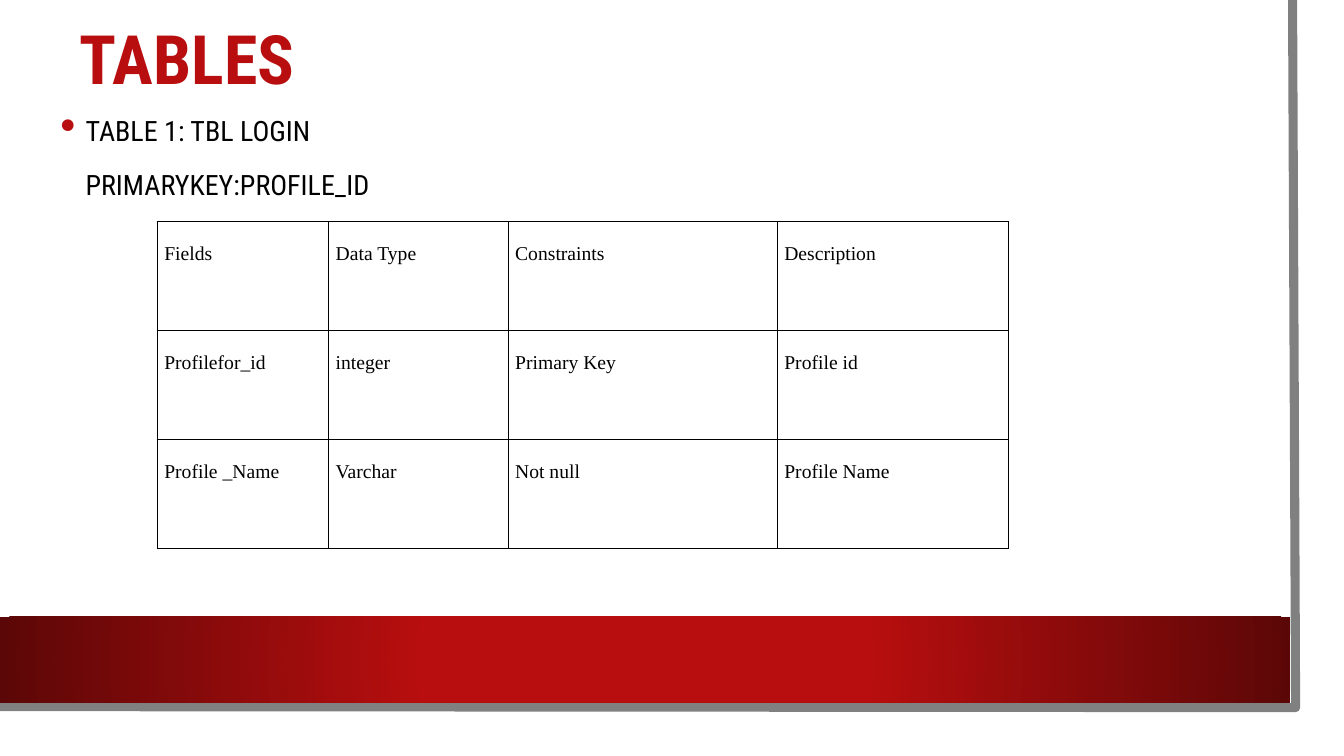
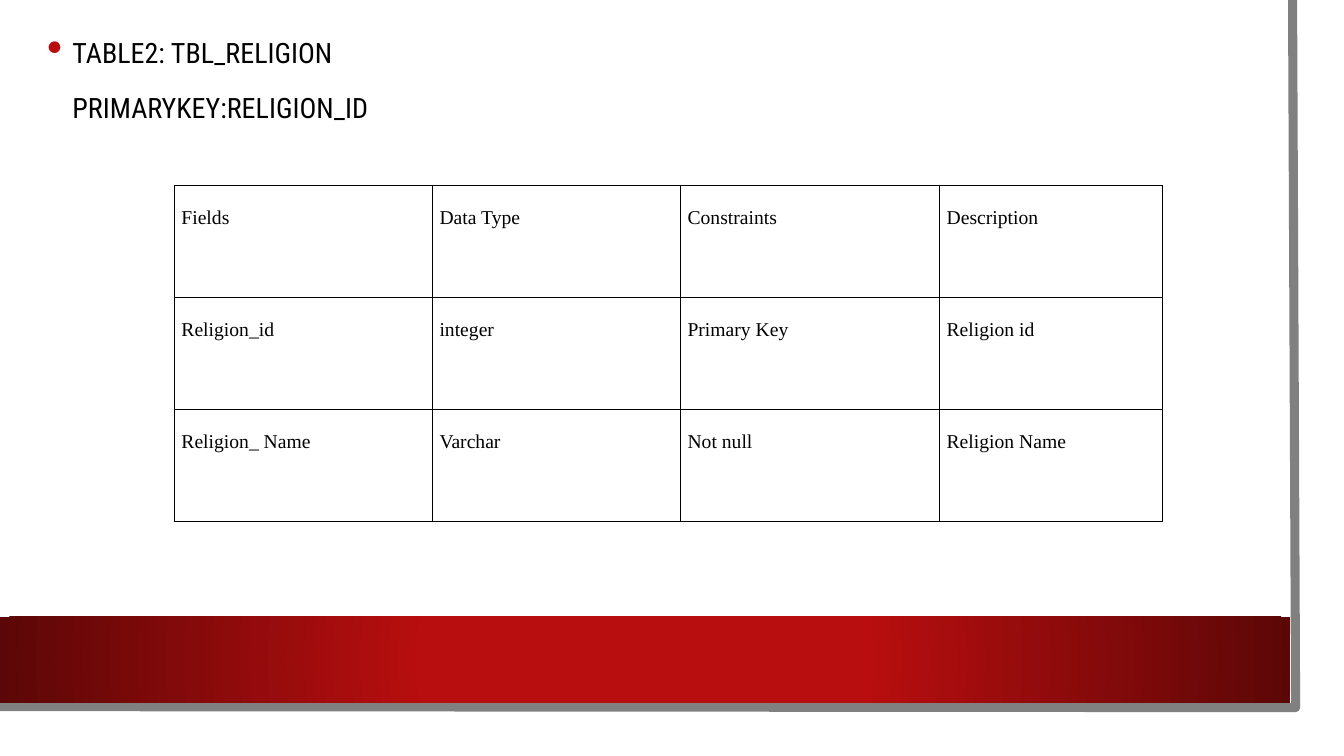
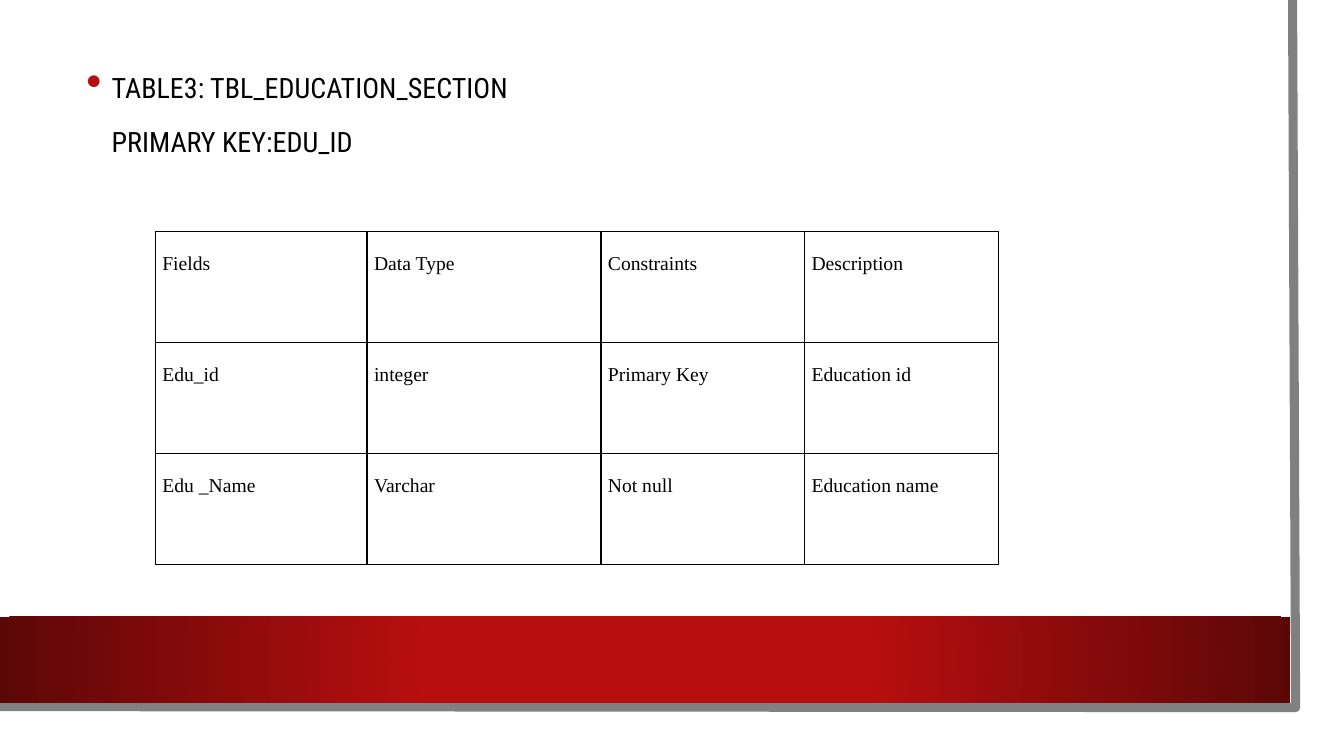
from dataclasses import dataclass

from lxml import etree
from pptx import Presentation
from pptx import util as u
from pptx.dml.color import RGBColor
from pptx.enum import shapes, text
from pptx.oxml import ns


@dataclass(frozen=True)
class Theme:
    """Colours, fonts and type sizes shared by all slides."""
    red: str = "B80E0F"
    dark_red: str = "5C0707"
    grey: str = "808080"
    white: str = "FFFFFF"
    black: str = "000000"
    head_font: str = "Roboto Condensed"
    table_font: str = "Times New Roman"
    title_size: float = 48.6
    caption_size: float = 20
    table_size: float = 14
    edge_width: float = 6.5


THEME = Theme()
HEADER = ["Fields", "Data Type", "Constraints", "Description"]
TABLES = [
    dict(
        title="TABLES",
        caption=["TABLE 1: TBL LOGIN", "PRIMARYKEY:PROFILE_ID"],
        caption_box=(0.5, 1.04, 11.84, 1.35), caption_inset=0.02,
        table_at=(1.56, 2.2), columns=[1.7, 1.78, 2.67, 2.29], row_height=1.08,
        rows=[["Profilefor_id", "integer", "Primary Key", "Profile id"],
              ["Profile _Name", "Varchar", "Not null", "Profile Name"]],
    ),
    dict(
        caption=["TABLE2: TBL_RELIGION", "PRIMARYKEY:RELIGION_ID"],
        caption_box=(0.37, 0.26, 11.84, 1.35), caption_inset=0.03,
        table_at=(1.73, 1.84), columns=[2.56, 2.46, 2.57, 2.21], row_height=1.11,
        rows=[["Religion_id", "integer", "Primary Key", "Religion id"],
              ["Religion_ Name", "Varchar", "Not null", "Religion Name"]],
    ),
    dict(
        caption=["TABLE3: TBL_EDUCATION_SECTION", "PRIMARY KEY:EDU_ID"],
        caption_box=(0.76, 0.49, 11.37, 1.19), caption_inset=0.14,
        table_at=(1.54, 2.3), columns=[2.1, 2.32, 2.02, 1.92], row_height=1.1,
        rows=[["Edu_id", "integer", "Primary Key", "Education id"],
              ["Edu _Name", "Varchar", "Not null", "Education name"]],
    ),
]


def rgb(colour):
    """Turn a hex string into a colour."""
    return RGBColor.from_string(colour)


def inches(*lengths):
    """Convert several lengths to Inches."""
    return [u.Inches(length) for length in lengths]


def write_text(paragraph, content, *, font, size, colour=THEME.black, bold=False,
               line_spacing=1.0, space_before=0):
    """Write one formatted run into a paragraph."""
    paragraph.alignment = text.PP_ALIGN.LEFT
    paragraph.line_spacing = line_spacing
    paragraph.space_before = u.Pt(space_before)
    run = paragraph.add_run()
    run.text = content
    run.font.name = font
    run.font.size = u.Pt(size)
    run.font.bold = bold
    run.font.color.rgb = rgb(colour)


def add_element(parent, tag, **attributes):
    """Append a drawing element with attributes to a parent."""
    return etree.SubElement(parent, ns.qn(tag), attributes)


def add_bar(slide, box, colour):
    """Add a plain rectangle without outline or shadow."""
    bar = slide.shapes.add_shape(shapes.MSO_SHAPE.RECTANGLE, *inches(*box))
    bar.shadow.inherit = False
    bar.line.fill.background()
    bar.fill.solid()
    bar.fill.fore_color.rgb = rgb(colour)
    return bar


def add_band(slide, box):
    """Add the red band that darkens towards both ends."""
    band = add_bar(slide, box, THEME.red)
    band.fill.gradient()
    stops = zip(band.fill.gradient_stops, (THEME.red, THEME.dark_red), (0.34, 1))
    for stop, colour, position in stops:
        stop.color.rgb = rgb(colour)
        stop.position = position
    gradient = band.element.spPr.find(ns.qn("a:gradFill"))
    gradient.remove(gradient.find(ns.qn("a:lin")))
    path = add_element(gradient, "a:path", path="circle")
    add_element(path, "a:fillToRect", l="50000", t="50000", r="50000", b="50000")
    return band


def add_edge(slide, points):
    """Add the grey line along the right and lower edges."""
    start, *others = [tuple(inches(*point)) for point in points]
    builder = slide.shapes.build_freeform(*start)
    builder.add_line_segments(others, close=False)
    edge = builder.convert_to_shape()
    edge.shadow.inherit = False
    edge.fill.background()
    edge.line.color.rgb = rgb(THEME.grey)
    edge.line.width = u.Pt(THEME.edge_width)
    return edge


def set_master_frame(presentation, slide):
    """Draw the shared frame and move it to the slide master."""
    frame = [
        add_bar(slide, (0, 0, 13.1, 7.27), THEME.white),
        add_edge(slide, [(12.82, 0), (12.85, 7.02), (-0.03, 7.01)]),
        add_band(slide, (0, 6.12, 12.8, 0.85)),
    ]
    tree = presentation.slide_master.shapes.element
    for number, shape in enumerate(frame):
        shape.element.xpath(".//p:cNvPr")[0].set("id", str(100 + number))
        tree.insert(2 + number, shape.element)


def set_title(slide, content, box):
    """Place and format the slide title."""
    title = slide.shapes.title
    title.left, title.top, title.width, title.height = inches(*box)
    frame = title.text_frame
    frame.auto_size = text.MSO_AUTO_SIZE.NONE
    frame.vertical_anchor = text.MSO_ANCHOR.MIDDLE
    write_text(frame.paragraphs[0], content, font=THEME.head_font, size=THEME.title_size,
               colour=THEME.red, bold=True, line_spacing=0.9)


def add_bullet(properties):
    """Give a paragraph a large red bullet."""
    colour = add_element(properties, "a:buClr")
    add_element(colour, "a:srgbClr", val=THEME.red)
    add_element(properties, "a:buSzPct", val="160000")
    add_element(properties, "a:buChar", char="•")


def add_caption(slide, lines, box, top_inset):
    """Add a bulleted table name with its key indented below."""
    frame = slide.shapes.add_textbox(*inches(*box)).text_frame
    frame.word_wrap = True
    frame.margin_top = u.Inches(top_inset)
    for index, line in enumerate(lines):
        paragraph = frame.add_paragraph() if index else frame.paragraphs[0]
        properties = paragraph._p.get_or_add_pPr()
        properties.set("marL", str(u.Inches(0.25)))
        if index == 0:
            properties.set("indent", str(u.Inches(-0.25)))
            add_bullet(properties)
        write_text(paragraph, line, font=THEME.head_font, size=THEME.caption_size,
                   line_spacing=1.2, space_before=10 if index else 0)


def set_borders(cell):
    """Draw a thin black line on each side of a cell."""
    properties = cell._tc.get_or_add_tcPr()
    for index, side in enumerate(("a:lnL", "a:lnR", "a:lnT", "a:lnB")):
        line = etree.Element(ns.qn(side), w=str(u.Pt(1)))
        fill = add_element(line, "a:solidFill")
        add_element(fill, "a:srgbClr", val=THEME.black)
        properties.insert(index, line)


def add_field_table(slide, at, columns, row_height, rows):
    """Add a ruled table of field definitions."""
    size = (sum(columns), row_height * len(rows))
    table = slide.shapes.add_table(len(rows), len(columns), *inches(*at, *size)).table
    table.first_row = table.horz_banding = False
    for column, width in zip(table.columns, columns):
        column.width = u.Inches(width)
    for row, values in zip(table.rows, rows):
        row.height = u.Inches(row_height)
        for cell, value in zip(row.cells, values):
            cell.margin_left = cell.margin_right = u.Inches(0.07)
            cell.margin_top = cell.margin_bottom = 0
            cell.fill.background()
            set_borders(cell)
            write_text(cell.text_frame.paragraphs[0], value, font=THEME.table_font,
                       size=THEME.table_size, line_spacing=2.0)


def add_table_slide(presentation, content):
    """Add a slide with a caption, a field table and perhaps a title."""
    layout = "Title Only" if "title" in content else "Blank"
    slide = presentation.slides.add_slide(presentation.slide_layouts.get_by_name(layout))
    if "title" in content:
        set_title(slide, content["title"], (0.69, 0.37, 11.37, 0.5))
    add_field_table(slide, content["table_at"], content["columns"], content["row_height"],
                    [HEADER, *content["rows"]])
    add_caption(slide, content["caption"], content["caption_box"], content["caption_inset"])
    return slide


def main():
    """Build and save the presentation."""
    presentation = Presentation()
    presentation.slide_width, presentation.slide_height = inches(13.33, 7.5)
    slides = [add_table_slide(presentation, content) for content in TABLES]
    set_master_frame(presentation, slides[0])
    presentation.save("out.pptx")


if __name__ == "__main__":
    main()
